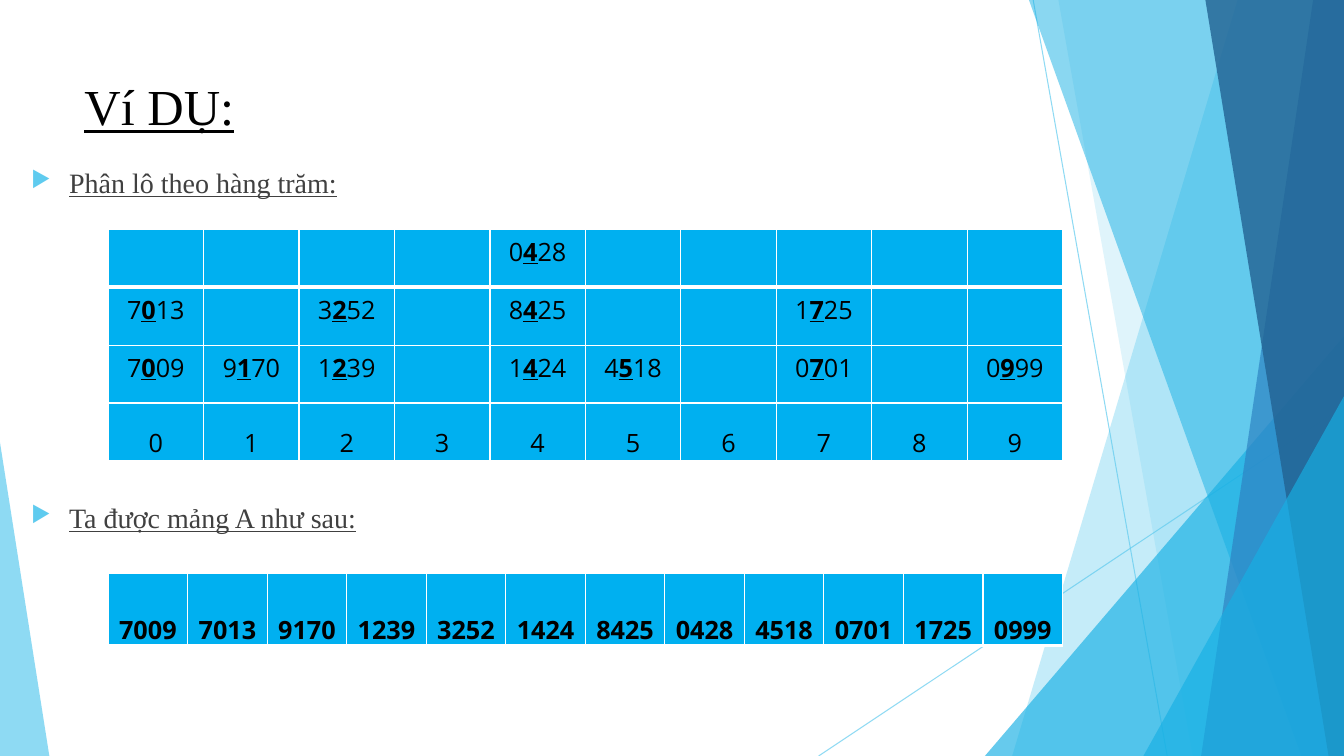
from dataclasses import dataclass

from lxml.etree import SubElement
from pptx import Presentation
from pptx.dml.color import RGBColor
from pptx.enum.shapes import MSO_CONNECTOR, MSO_SHAPE
from pptx.enum.text import MSO_ANCHOR, PP_ALIGN
from pptx.oxml.ns import qn
from pptx.util import Pt


@dataclass(frozen=True)
class Theme:
    sky: str = "5FCBEF"
    cyan: str = "17B0E4"
    blue: str = "2E83C3"
    navy: str = "226292"
    cell: str = "00B0F0"
    white: str = "FFFFFF"
    black: str = "000000"
    body: str = "404040"
    serif: str = "Times New Roman"
    sans: str = "Open Sans"
    title_size: int = 36
    body_size: int = 20
    cell_size: int = 18


THEME = Theme()
WIDTH, HEIGHT = 960, 540

BUCKETS = [
    {4: "0428"},
    {0: "7013", 2: "3252", 4: "8425", 7: "1725"},
    {0: "7009", 1: "9170", 2: "1239", 4: "1424", 5: "4518", 7: "0701", 9: "0999"},
]
ARRAY_A = "7009 7013 9170 1239 3252 1424 8425 0428 4518 0701 1725 0999".split()


def apply(target, values):
    for name, value in values.items():
        setattr(target, name, value)


def add_run(paragraph, text, color, **values):
    run = paragraph.add_run()
    run.text = text
    apply(run.font, values)
    run.font.color.rgb = RGBColor.from_string(color)


def set_opacity(element, percent):
    for color in element.iter(qn("a:srgbClr")):
        SubElement(color, qn("a:alpha"), val=str(percent * 1000))


def paint(facet, color, opacity):
    facet.shadow.inherit = False
    facet.fill.solid()
    facet.fill.fore_color.rgb = RGBColor.from_string(color)
    facet.line.fill.background()
    set_opacity(facet.element, opacity)


def add_ray(slide, start, end):
    ray = slide.shapes.add_connector(
        MSO_CONNECTOR.STRAIGHT, *(Pt(v) for v in (*start, *end)))
    ray.line.width = Pt(0.75)
    ray.line.color.rgb = RGBColor.from_string(THEME.sky)
    set_opacity(ray.element, 70)
    SubElement(ray.element.spPr, qn("a:effectLst"))


def add_panel(slide, top_left, bottom_left, bottom_right, color, opacity):
    outline = slide.shapes.build_freeform(Pt(top_left), 0)
    outline.add_line_segments([
        (Pt(WIDTH), 0), (Pt(bottom_right), Pt(HEIGHT)), (Pt(bottom_left), Pt(HEIGHT))])
    paint(outline.convert_to_shape(), color, opacity)


def add_peak(slide, left, top, width, apex, color, opacity):
    peak = slide.shapes.add_shape(
        MSO_SHAPE.ISOSCELES_TRIANGLE, Pt(left), Pt(top), Pt(width), Pt(HEIGHT - top))
    peak.adjustments[0] = apex
    paint(peak, color, opacity)


def add_background(slide):
    add_ray(slide, (738, 0), (833.75, HEIGHT))
    add_ray(slide, (WIDTH, 290), (584.75, HEIGHT))
    add_panel(slide, 884, 723, WIDTH, THEME.sky, 36)
    add_panel(slide, 756, 852, WIDTH, THEME.sky, 20)
    add_peak(slide, 703.5, 240, 256.5, 1, THEME.cyan, 66)
    add_panel(slide, 735, 929.5, WIDTH, THEME.cyan, 50)
    add_panel(slide, 938, 858, WIDTH, THEME.blue, 70)
    add_panel(slide, 861, 949, WIDTH, THEME.navy, 80)
    add_peak(slide, 816.75, 283, 143.25, 1, THEME.cyan, 66)
    add_peak(slide, 0, 316, 35.25, 0, THEME.sky, 70)


def add_text_frame(slide, left, top, width, height, anchor):
    frame = slide.shapes.add_textbox(Pt(left), Pt(top), Pt(width), Pt(height)).text_frame
    apply(frame, {"word_wrap": True, "vertical_anchor": anchor})
    return frame


def add_title(slide, text):
    frame = add_text_frame(slide, 53.25, 48.25, 677, 54, MSO_ANCHOR.MIDDLE)
    add_run(frame.paragraphs[0], text, THEME.black, name=THEME.serif,
            size=Pt(THEME.title_size), underline=True)


def add_bullet(paragraph, text, gap):
    paragraph.space_before = Pt(gap)
    properties = paragraph._p.get_or_add_pPr()
    properties.set("marL", str(Pt(27)))
    properties.set("indent", str(-Pt(27)))
    tint = SubElement(properties, qn("a:buClr"))
    SubElement(tint, qn("a:srgbClr"), val=THEME.sky)
    SubElement(properties, qn("a:buSzPct"), val="80000")
    SubElement(properties, qn("a:buChar"), char="▶")
    add_run(paragraph, text, THEME.body, name=THEME.serif,
            size=Pt(THEME.body_size), underline=True)


def add_steps(slide, buckets_step, result_step):
    frame = add_text_frame(slide, 15.25, 114.5, 816.5, 361.5, MSO_ANCHOR.TOP)
    add_bullet(frame.paragraphs[0], buckets_step, 0)
    add_bullet(frame.add_paragraph(), result_step, 215.5)


def style_cell(cell, borders):
    properties = cell._tc.get_or_add_tcPr()
    for side, width in borders.items():
        border = SubElement(properties, qn(f"a:ln{side}"), w=str(Pt(width)))
        ink = SubElement(border, qn("a:solidFill"))
        SubElement(ink, qn("a:srgbClr"), val=THEME.white)
    cell.fill.solid()
    cell.fill.fore_color.rgb = RGBColor.from_string(THEME.cell)
    apply(cell, {"margin_left": Pt(4), "margin_right": Pt(4)})


def add_grid(slide, top, row_height, columns, rows, heavy_edges):
    width = 682
    grid = slide.shapes.add_table(
        rows, columns, Pt(77.25), Pt(top), Pt(width), Pt(row_height * rows)).table
    apply(grid, {"first_row": False, "horz_banding": False})
    for column in grid.columns:
        column.width = Pt(width / columns)
    for edge, row in enumerate(grid.rows):
        row.height = Pt(row_height)
        borders = {"L": 1, "R": 1,
                   "T": 3 if edge in heavy_edges else 1,
                   "B": 3 if edge + 1 in heavy_edges else 1}
        for cell in row.cells:
            style_cell(cell, borders)
    return grid


def write_cell(cell, parts, spacing):
    paragraph = cell.text_frame.paragraphs[0]
    apply(paragraph, {"alignment": PP_ALIGN.CENTER, "line_spacing": spacing})
    for text, emphasis in parts:
        add_run(paragraph, text, THEME.black, name=THEME.sans,
                size=Pt(THEME.cell_size), **emphasis)


def add_buckets(slide):
    grid = add_grid(slide, 163.75, 41.4, 10, len(BUCKETS) + 1, {1})
    marked = {"bold": True, "underline": True}
    for level, numbers in enumerate(BUCKETS):
        for digit, number in numbers.items():
            parts = [(number[0], {}), (number[1], marked), (number[2:], {})]
            write_cell(grid.cell(level, digit), parts, 1.0)
    for digit in range(10):
        write_cell(grid.cell(len(BUCKETS), digit), [(str(digit), {})], 1.5)


def add_array(slide):
    grid = add_grid(slide, 409.75, 51.25, len(ARRAY_A), 1, {1})
    for index, number in enumerate(ARRAY_A):
        write_cell(grid.cell(0, index), [(number, {"bold": True})], 2.0)


def main():
    deck = Presentation()
    apply(deck, {"slide_width": Pt(WIDTH), "slide_height": Pt(HEIGHT)})
    slide = deck.slides.add_slide(deck.slide_layouts[6])
    add_background(slide)
    add_title(slide, "Ví DỤ:")
    add_steps(slide, "Phân lô theo hàng trăm:", "Ta được mảng A như sau:")
    add_buckets(slide)
    add_array(slide)
    deck.save("out.pptx")


main()
